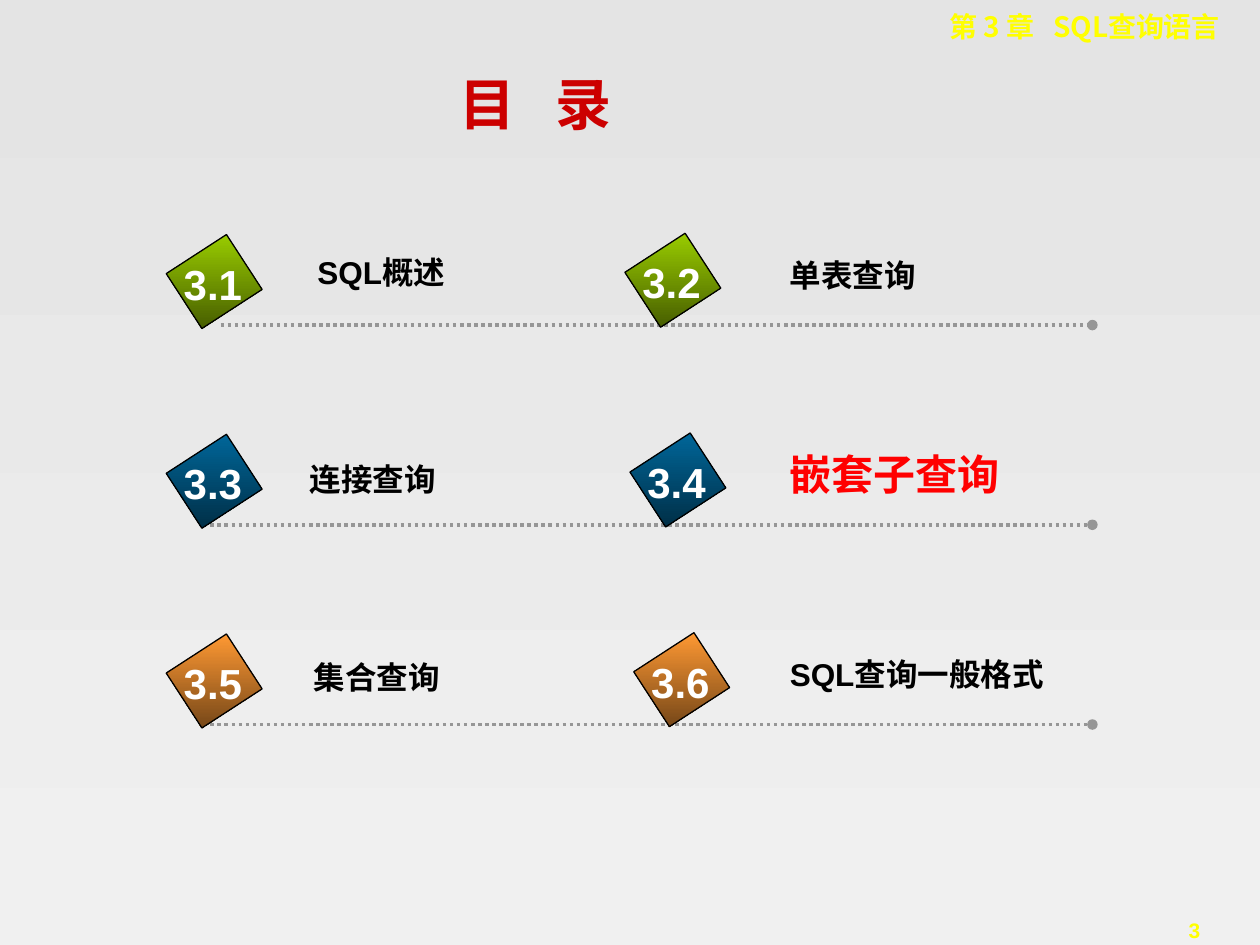
from lxml import etree
from pptx import Presentation
from pptx.dml.color import RGBColor
from pptx.enum import dml, shapes, text
from pptx.oxml.ns import qn
from pptx.util import Inches, Pt


def color(value):
    return RGBColor.from_string(value)


def write(box, parts, size, fill, align="LEFT", font="Arial", wrap=True,
          fit="SHAPE_TO_FIT_TEXT", anchor="TOP"):
    frame = box.text_frame
    settings = {"word_wrap": wrap, "auto_size": text.MSO_AUTO_SIZE[fit],
                "vertical_anchor": text.MSO_ANCHOR[anchor]}
    for name, value in settings.items():
        setattr(frame, name, value)
    para = frame.paragraphs[0]
    para.alignment = text.PP_ALIGN[align]
    for words, spacing in parts:
        span = para.add_run()
        span.text = words
        for name, value in {"name": font, "size": Pt(size), "bold": True}.items():
            setattr(span.font, name, value)
        span.font.color.rgb = color(fill)
        properties = span._r.get_or_add_rPr()
        etree.SubElement(properties, qn("a:ea"), typeface="Noto Sans CJK SC")
        if spacing:
            properties.set("spc", str(spacing))


deck = Presentation()
deck.slide_width, deck.slide_height = Inches(10), Inches(7.5)
page = deck.slides.add_slide(deck.slide_layouts[5])
gradients = [(page.background.fill, 270, ("E4E4E4", "F0F0F0"))]

number = page.shapes.add_textbox(Inches(8.98), Inches(7.23), Inches(1), Inches(0.3))
write(number, [("3", 0)], 12, "FFFF00", "CENTER", wrap=False)
chapter = page.shapes.add_textbox(Inches(5.43), Inches(0.03), Inches(4.35), Inches(0.37))
write(chapter, [("第 3 章", 0), (" ", 720), ("SQL查询语言", 0)], 16, "FFFF00",
      "RIGHT", "Noto Sans CJK SC")

title = page.shapes.title
for name, value in {"left": 0, "top": 0.48, "width": 8.5, "height": 0.67}.items():
    setattr(title, name, Inches(value))
write(title, [("目", 0), (" ", 1600), ("录", 0)], 32, "CC0000", "CENTER",
      "Times New Roman", fit="NONE", anchor="MIDDLE")

row_step = 1.585
row_colors = [("99CC00", "475E00"), ("006699", "002F47"), ("FF9933", "764718")]

for row, start in enumerate([1.75, 1.67, 1.67]):
    y = Inches(2.58 + row * row_step)
    rule = page.shapes.add_connector(shapes.MSO_CONNECTOR.STRAIGHT, Inches(start), y, Inches(8.67), y)
    rule.line.color.rgb = color("969696")
    rule.line.width = Pt(2)
    rule.line.dash_style = dml.MSO_LINE.ROUND_DOT
    etree.SubElement(rule.line._get_or_add_ln(), qn("a:tailEnd"), type="oval")
    etree.SubElement(rule._element.spPr, qn("a:effectLst"))

topics = [
    ("SQL概述", 1.44, 2.42, 1.96, 2.25, 18, "000000"),
    ("单表查询", 5.08, 6.17, 1.98, 1.75, 18, "000000"),
    ("连接查询", 1.44, 2.36, 3.6, 1.72, 18, "000000"),
    ("嵌套子查询", 5.12, 6.17, 3.51, 2.08, 24, "FF0000"),
    ("集合查询", 1.44, 2.39, 5.17, 1.5, 18, "000000"),
    ("SQL查询一般格式", 5.15, 6.17, 5.15, 2.33, 18, "000000"),
]
for index, (topic, badge_x, label_x, label_y, width, size, fill) in enumerate(topics):
    row, column = divmod(index, 2)
    badge_y = 1.95 - 0.01 * column + row * row_step
    label = page.shapes.add_textbox(Inches(label_x), Inches(label_y), Inches(width),
                                    Inches(size / 60 + 0.1))
    write(label, [(topic, 0)], size, fill)

    badge = page.shapes.add_group_shape()
    diamond = badge.shapes.add_shape(shapes.MSO_SHAPE.RECTANGLE, Inches(badge_x),
                                     Inches(badge_y), Inches(0.52), Inches(0.57))
    diamond.rotation = 57
    diamond.shadow.inherit = False
    diamond.line.color.rgb = color("000000")
    diamond.line.width = Pt(0.75)
    gradients.append((diamond.fill, 327, row_colors[row]))
    numeral = badge.shapes.add_textbox(Inches(badge_x - 0.08), Inches(badge_y + 0.05),
                                       Inches(0.66), Inches(0.5))
    write(numeral, [(f"3.{index + 1}", 0)], 24, "FFFFFF", "CENTER", wrap=False)

for area, angle, shades in gradients:
    area.gradient()
    area.gradient_angle = angle
    for stop, shade in zip(area.gradient_stops, shades):
        stop.color.rgb = color(shade)

deck.save("out.pptx")
